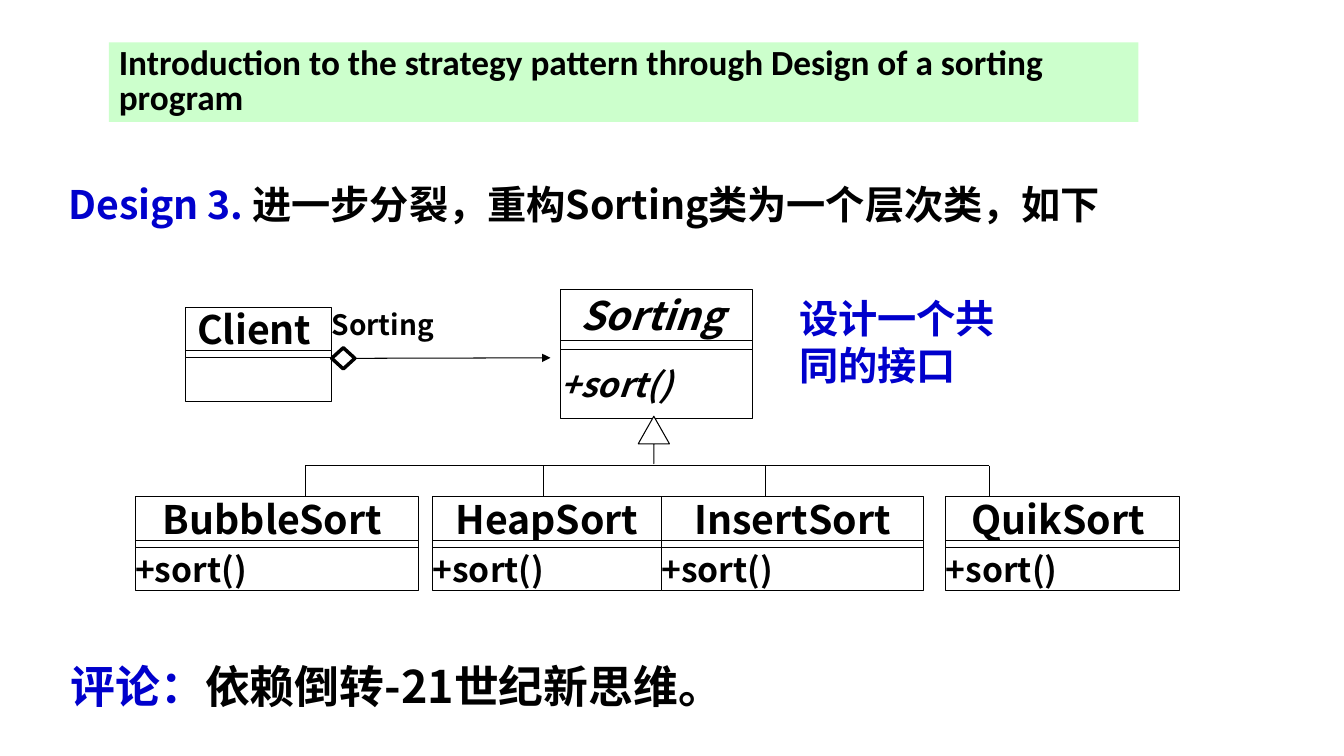
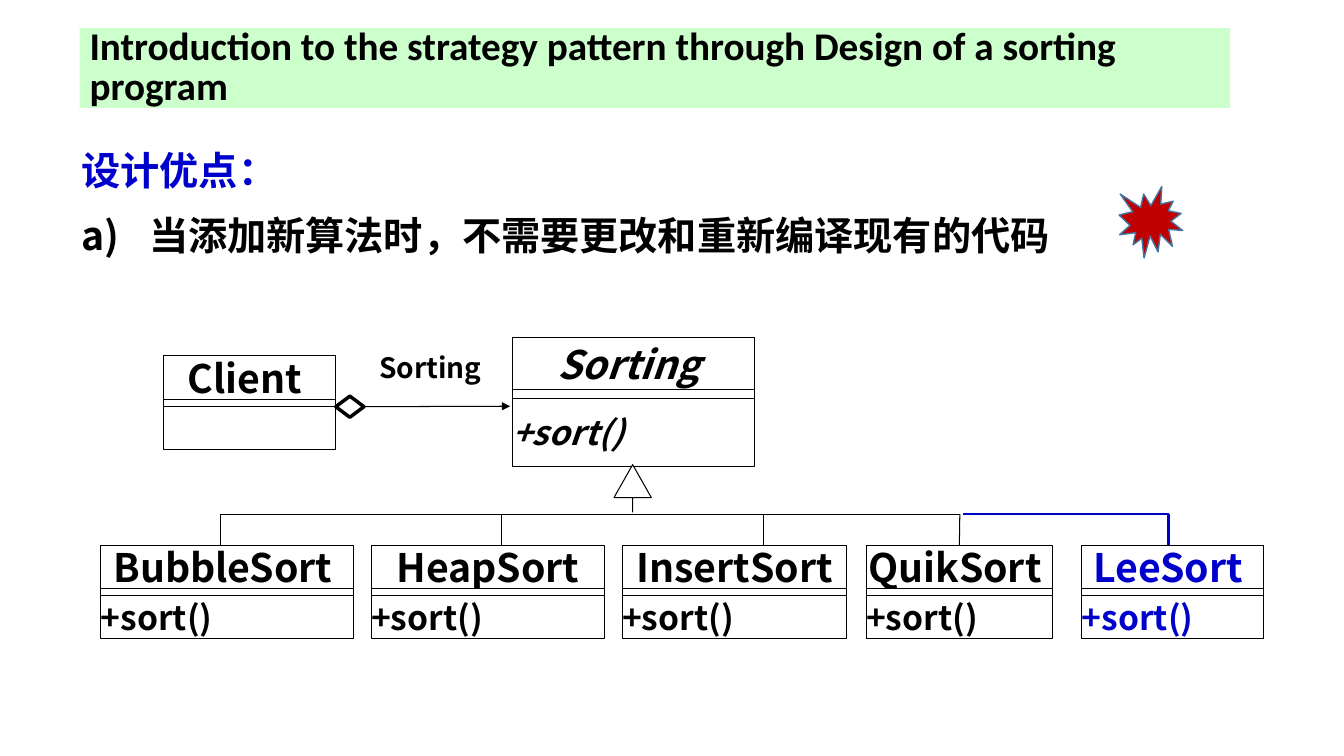
from dataclasses import dataclass

from lxml.etree import SubElement
from pptx import Presentation
from pptx.dml.color import RGBColor
from pptx.enum.shapes import MSO_CONNECTOR, MSO_SHAPE
from pptx.enum.text import MSO_ANCHOR, PP_ALIGN
from pptx.oxml.ns import qn
from pptx.util import Inches, Pt

BLACK = RGBColor(0x00, 0x00, 0x00)
WHITE = RGBColor(0xFF, 0xFF, 0xFF)
BLUE = RGBColor(0x00, 0x00, 0xCC)
MINT = RGBColor(0xCC, 0xFF, 0xCC)
RED = RGBColor(0xC0, 0x00, 0x00)
STEEL = RGBColor(0x43, 0x73, 0x9E)

TITLE_FONT = "Calibri"
BODY_FONT = "Noto Sans CJK SC"
TITLE = "Introduction to the strategy pattern through Design of a sorting program"


@dataclass
class Subclass:
    name: str
    left: float
    width: float
    drop: float  # x of the line that comes down from the bus
    ink: RGBColor = BLACK


@dataclass
class Diagram:
    """Horizontal places of the diagram; the vertical ones follow from top."""
    top: float
    client: tuple
    base: tuple
    diamond_width: float
    arrow_end: float
    label: tuple
    triangle: tuple
    subclasses: list


def write(para, *spans, size, font=BODY_FONT, italic=False):
    """Fill a paragraph with (text, colour) spans in one bold font."""
    para.font.size = Pt(size)
    para.font.bold = True
    para.font.italic = italic
    para.font.color.rgb = spans[0][1]
    para.font.name = font
    SubElement(para._p.pPr.find(qn("a:defRPr")), qn("a:ea"), typeface=font)
    for text, colour in spans:
        span = para.add_run()
        span.text = text
        if colour != spans[0][1]:
            span.font.color.rgb = colour


def add_text(page, left, top, width, height):
    """Add a wrapping text box and return its text frame."""
    box = page.shapes.add_textbox(*map(Inches, (left, top, width, height)))
    box.text_frame.word_wrap = True
    return box.text_frame


def add_figure(page, kind, left, top, width, height,
               fill=WHITE, line=BLACK, weight=0.75):
    figure = page.shapes.add_shape(kind, *map(Inches, (left, top, width, height)))
    figure.shadow.inherit = False
    figure.fill.solid()
    figure.fill.fore_color.rgb = fill
    figure.line.color.rgb = line
    figure.line.width = Pt(weight)
    return figure


def add_line(page, start, end, colour=BLACK, weight=0.75, arrow=False):
    line = page.shapes.add_connector(
        MSO_CONNECTOR.STRAIGHT, *map(Inches, (*start, *end)))
    line.line.color.rgb = colour
    line.line.width = Pt(weight)
    if arrow:
        SubElement(line.line._get_or_add_ln(), qn("a:tailEnd"), type="triangle")
    SubElement(line._element.spPr, qn("a:effectLst"))
    return line


def add_title(page, left, top, width, size):
    frame = add_text(page, left, top, width, 0.79)
    band = page.shapes[-1]
    band.fill.solid()
    band.fill.fore_color.rgb = MINT
    frame.vertical_anchor = MSO_ANCHOR.MIDDLE
    para = frame.paragraphs[0]
    para.line_spacing = 0.85
    write(para, (TITLE, BLACK), size=size, font=TITLE_FONT)


def add_class(page, left, top, width, name, method="", ink=BLACK,
              italic=False, heights=(0.43, 0.07, 0.43)):
    """Draw a class box with name, strip and methods; return the name part."""
    name_height, strip_height, method_height = heights
    strip_top = top + name_height
    parts = (
        (name, 28, PP_ALIGN.CENTER, top, name_height),
        (method, 24, PP_ALIGN.LEFT, strip_top + strip_height, method_height),
        ("", 0, None, strip_top, strip_height),
    )
    figures = []
    for text, size, align, part_top, height in parts:
        figure = add_figure(page, MSO_SHAPE.RECTANGLE, left, part_top, width, height)
        figures.append(figure)
        if text:
            frame = figure.text_frame
            frame.word_wrap = False
            frame.vertical_anchor = MSO_ANCHOR.MIDDLE
            frame.margin_left = frame.margin_right = 0
            frame.margin_top = frame.margin_bottom = 0
            para = frame.paragraphs[0]
            para.alignment = align
            write(para, (text, ink), size=size, italic=italic)
    return figures[0]


def add_subclass(page, sub, bus, top, weight):
    """Draw a subclass and its drop line, joined where the drop is central."""
    box = add_class(page, sub.left, top, sub.width, sub.name, "+sort()", sub.ink)
    drop = add_line(page, (sub.drop, bus), (sub.drop, top), sub.ink, weight)
    if abs(sub.left + sub.width / 2 - sub.drop) < 0.02:
        drop.end_connect(box, 0)


def add_diagram(page, plan):
    top = plan.top
    bus = top + 1.75
    client_left, client_width = plan.client
    base_left, base_width = plan.base
    client_right = client_left + client_width

    add_class(page, base_left, top, base_width, "Sorting ", "+sort()",
              italic=True, heights=(0.51, 0.09, 0.68))
    add_class(page, client_left, top + 0.18, client_width, "Client ")

    diamond = add_figure(page, MSO_SHAPE.DIAMOND, client_right, top + 0.58,
                         plan.diamond_width, 0.21, weight=2.5)
    axis = top + 0.68
    arrow = add_line(page, (client_right + plan.diamond_width, axis),
                     (plan.arrow_end, axis), arrow=True)
    arrow.begin_connect(diamond, 3)

    label_left, label_drop, label_width = plan.label
    label = add_text(page, label_left, top + label_drop, label_width, 0.44)
    label.margin_left = label.margin_right = 0
    write(label.paragraphs[0], ("Sorting", BLACK), size=20)

    triangle_left, triangle_width = plan.triangle
    triangle = add_figure(page, MSO_SHAPE.UP_ARROW, triangle_left, top + 1.26,
                          triangle_width, 0.47)
    triangle.adjustments[0] = 0
    triangle.adjustments[1] = 0.883

    old = [sub for sub in plan.subclasses if sub.ink == BLACK]
    add_line(page, (old[0].drop, bus), (old[-1].drop, bus))
    for sub in plan.subclasses:
        added = sub not in old
        weight = 1.5 if added else 0.75
        if added:
            add_line(page, (old[-1].drop + 0.03, bus), (sub.drop, bus),
                     sub.ink, weight)
        add_subclass(page, sub, bus, top + 2.06, weight)


def build_design(page):
    add_title(page, 1.08, 0.42, 10.21, 25.2)
    heading = add_text(page, 0.58, 1.65, 11.34, 0.76).paragraphs[0]
    heading.line_spacing = 1.2
    heading.space_before = Pt(10)
    write(heading, ("Design 3. ", BLUE),
          ("进一步分裂，重构Sorting类为一个层次类，如下", BLACK), size=28)
    add_diagram(page, Diagram(
        top=2.87, client=(1.84, 1.45), base=(5.56, 1.9), diamond_width=0.23,
        arrow_end=5.46, label=(3.29, 0.13, 1.4), triangle=(6.33, 0.31),
        subclasses=[
            Subclass("BubbleSort ", 1.34, 2.81, 3.03),
            Subclass("HeapSort", 4.29, 2.27, 5.39),
            Subclass("InsertSort", 6.56, 2.6, 7.59),
            Subclass("QuikSort ", 9.38, 2.32, 9.81),
        ]))
    remark = add_text(page, 7.83, 2.87, 2.52, 1.04).paragraphs[0]
    write(remark, ("设计一个共同的接口", BLUE), size=28)
    comment = add_text(page, 0.6, 6.49, 8.98, 0.64).paragraphs[0]
    write(comment, ("评论：", BLUE), ("依赖倒转-21世纪新思维。", BLACK), size=32)


def build_advantages(page):
    add_title(page, 0.79, 0.28, 11.41, 28)
    frame = add_text(page, 0.71, 1.31, 9.87, 1.48)
    heading, point = frame.paragraphs[0], frame.add_paragraph()
    layout = point._p.get_or_add_pPr()
    layout.set("marL", str(Inches(0.67)))
    layout.set("indent", str(Inches(-0.67)))
    SubElement(layout, qn("a:buAutoNum"), type="alphaLcParenR")
    for para, text, colour in (
            (heading, "设计优点：", BLUE),
            (point, "当添加新算法时，不需要更改和重新编译现有的代码", BLACK)):
        para.line_spacing = 1.2
        para.space_before = Pt(6)
        write(para, (text, colour), size=28)
    add_figure(page, MSO_SHAPE.EXPLOSION1, 11.1, 1.85, 0.63, 0.71,
               fill=RED, line=STEEL, weight=1)
    add_diagram(page, Diagram(
        top=3.35, client=(1.62, 1.71), base=(5.08, 2.4), diamond_width=0.28,
        arrow_end=5.06, label=(3.76, 0.08, 1.2), triangle=(6.09, 0.37),
        subclasses=[
            Subclass("BubbleSort ", 1, 2.51, 2.19),
            Subclass("HeapSort", 3.68, 2.32, 4.97),
            Subclass("InsertSort", 6.17, 2.23, 7.57),
            Subclass("QuikSort ", 8.59, 1.85, 9.52),
            Subclass("LeeSort ", 10.73, 1.8, 11.59, BLUE),
        ]))


def main():
    deck = Presentation()
    deck.slide_width = Inches(13.33)
    deck.slide_height = Inches(7.5)
    for build in (build_design, build_advantages):
        build(deck.slides.add_slide(deck.slide_layouts[6]))
    deck.save("out.pptx")


if __name__ == "__main__":
    main()
